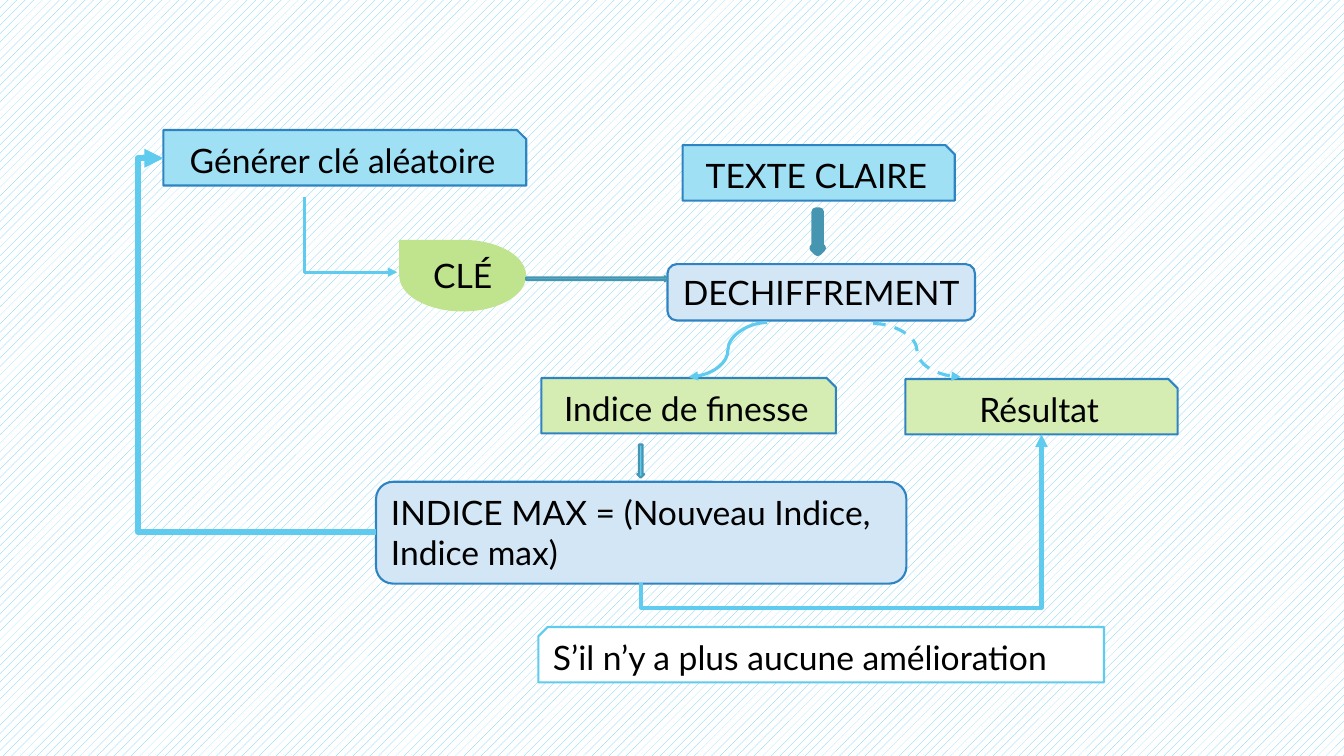
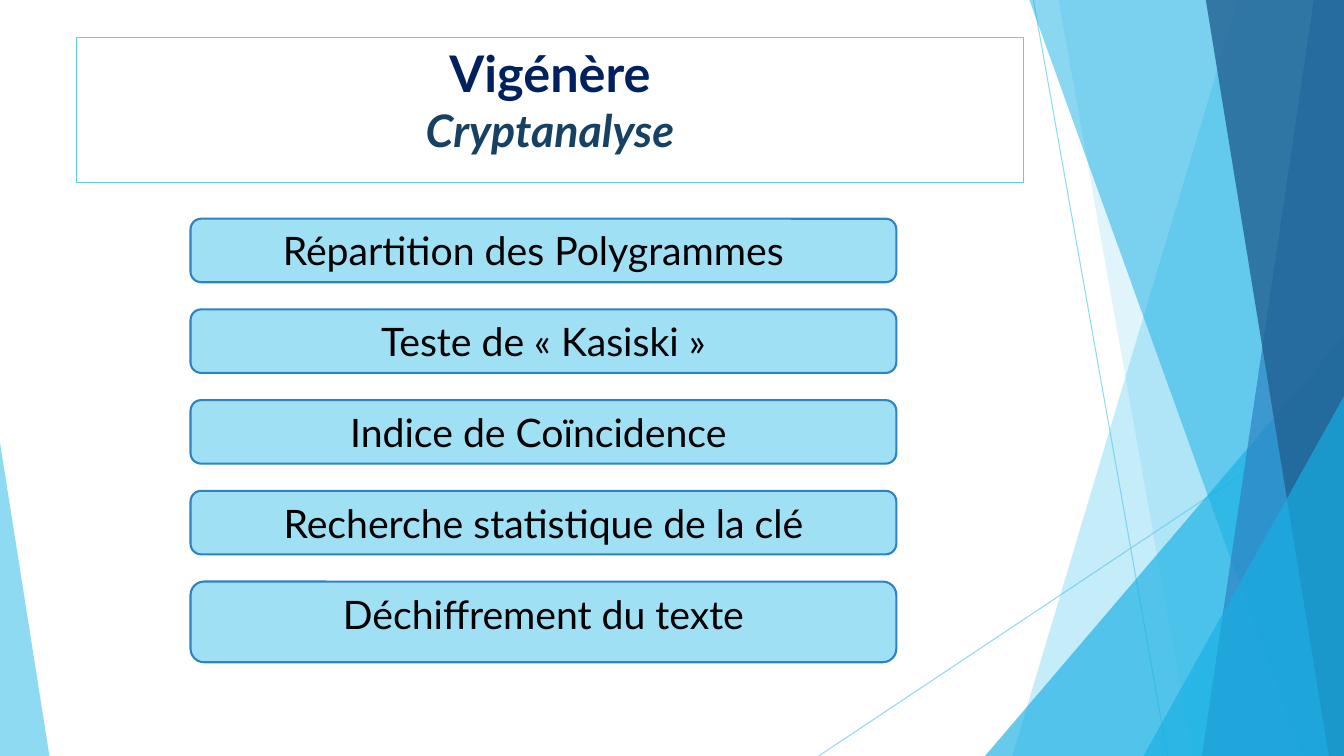
from lxml.etree import SubElement
from pptx import Presentation
from pptx.dml.color import RGBColor
from pptx.enum.dml import MSO_LINE, MSO_PATTERN
from pptx.enum.shapes import MSO_CONNECTOR, MSO_SHAPE
from pptx.enum.text import MSO_ANCHOR, PP_ALIGN
from pptx.oxml.ns import qn
from pptx.util import Inches, Pt

WIDTH, HEIGHT = 13.33, 7.5
COLORS = {
    "white": "FFFFFF", "black": "000000", "sky": "5FCBEF", "pale_sky": "9FE0F5",
    "cyan": "17B0E4", "blue": "2E83C3", "pale_blue": "D3E6F5", "deep_blue": "226292",
    "steel": "4696B1", "green": "C0E38D", "pale_green": "D5EDB3",
    "navy": "002060", "title_blue": "174162",
}


def rgb(name):
    return RGBColor.from_string(COLORS[name])


def set_opacity(element, percent):
    """Make every colour below the element partly transparent."""
    for color in element.iter(qn("a:srgbClr")):
        SubElement(color, qn("a:alpha"), val=str(percent * 1000))


class Deck:
    font = "Lato"

    def __init__(self):
        self.presentation = Presentation()
        self.presentation.slide_width = Inches(WIDTH)
        self.presentation.slide_height = Inches(HEIGHT)
        self.slide = None

    def new_slide(self):
        self.slide = self.presentation.slides.add_slide(self.presentation.slide_layouts[6])
        return self.slide

    def paint(self, shape, fill=None, line=None, line_width=1.5, opacity=100):
        shape.shadow.inherit = False
        if fill:
            shape.fill.solid()
            shape.fill.fore_color.rgb = rgb(fill)
        else:
            shape.fill.background()
        if line:
            shape.line.color.rgb = rgb(line)
            shape.line.width = Pt(line_width)
        else:
            shape.line.fill.background()
        if opacity < 100:
            set_opacity(shape._element.spPr, opacity)

    def shape(self, kind, box, fill=None, flip=False, adjust=None, **style):
        shape = self.slide.shapes.add_shape(kind, *map(Inches, box))
        if adjust is not None:
            shape.adjustments[0] = adjust
        if flip:
            shape._element.spPr.xfrm.set("flipH", "1")
        self.paint(shape, fill, **style)
        return shape

    def add_text(self, shape, lines, align=PP_ALIGN.CENTER, right_inset=0.1):
        """Fill a shape with lines given as (text, size, colour, bold, italic)."""
        frame = shape.text_frame
        frame.word_wrap = True
        frame.vertical_anchor = MSO_ANCHOR.TOP
        frame.margin_right = Inches(right_inset)
        for index, (text, size, color, bold, italic) in enumerate(lines):
            paragraph = frame.add_paragraph() if index else frame.paragraphs[0]
            paragraph.alignment = align
            run = paragraph.add_run()
            run.text = text
            run.font.name = self.font
            run.font.size = Pt(size)
            run.font.color.rgb = rgb(color)
            run.font.bold = bold
            run.font.italic = italic

    def label(self, kind, box, text, fill, line="blue", size=24, align=PP_ALIGN.CENTER,
              right_inset=0.1, flip=False):
        shape = self.shape(kind, box, fill, line=line, flip=flip)
        self.add_text(shape, [(text, size, "black", False, False)], align, right_inset)

    def connector(self, kind, start, end, width=2.25, bend=None, upright=False,
                  dashed=False, arrow=True, opacity=100):
        """Draw a connector; upright ones leave and arrive vertically."""
        if upright:
            middle_x, middle_y = (start[0] + end[0]) / 2, (start[1] + end[1]) / 2
            half_width, half_height = (start[1] - end[1]) / 2, (end[0] - start[0]) / 2
            start = middle_x + half_width, middle_y + half_height
            end = middle_x - half_width, middle_y - half_height
        connector = self.slide.shapes.add_connector(kind, *map(Inches, (*start, *end)))
        properties = connector._element.spPr
        if upright:
            properties.xfrm.set("rot", str(90 * 60000))
        if bend is not None:
            guides = properties.prstGeom.get_or_add_avLst()
            SubElement(guides, qn("a:gd"), name="adj1", fmla=f"val {round(bend * 100000)}")
        connector.line.color.rgb = rgb("sky")
        connector.line.width = Pt(width)
        if dashed:
            connector.line.dash_style = MSO_LINE.DASH
        if arrow:
            SubElement(properties.find(qn("a:ln")), qn("a:tailEnd"), type="triangle")
        if opacity < 100:
            set_opacity(properties, opacity)
        SubElement(properties, qn("a:effectLst"))

    def band(self, top_x, bottom_x, fill, opacity):
        """Fill the area between a slanted edge and the right side of the slide."""
        points = [(Inches(x), Inches(y)) for x, y in
                  ((top_x, 0), (WIDTH, 0), (WIDTH, HEIGHT), (bottom_x, HEIGHT))]
        builder = self.slide.shapes.build_freeform(*points[0])
        builder.add_line_segments(points[1:], close=True)
        self.paint(builder.convert_to_shape(), fill, opacity=opacity)

    def corner(self, left, top, width, fill, opacity, peak):
        """Stand a triangle on the bottom edge, its peak at 0 (left) or 1 (right)."""
        self.shape(MSO_SHAPE.ISOSCELES_TRIANGLE, (left, top, width, HEIGHT - top), fill,
                   adjust=peak, opacity=opacity)

    def facets(self):
        for start, end in (((10.25, 0), (11.58, HEIGHT)), ((WIDTH, 4.03), (8.12, HEIGHT))):
            self.connector(MSO_CONNECTOR.STRAIGHT, start, end, 0.75, arrow=False, opacity=70)
        self.band(12.28, 10.04, "sky", 36)
        self.band(10.5, 11.83, "sky", 20)
        self.corner(9.77, 3.33, 3.56, "cyan", 66, peak=1)
        self.band(10.21, 12.91, "cyan", 50)
        self.band(13.03, 11.92, "blue", 70)
        self.band(11.96, 13.18, "deep_blue", 80)
        self.corner(11.34, 3.93, 1.99, "cyan", 66, peak=1)
        self.corner(0, 4.39, 0.49, "sky", 70, peak=0)


def build_flow_chart(deck):
    background = deck.new_slide().background.fill
    background.patterned()
    background.pattern = MSO_PATTERN.PERCENT_20
    background.fore_color.rgb = rgb("sky")
    background.back_color.rgb = rgb("white")

    snipped, rounded = MSO_SHAPE.SNIP_1_RECTANGLE, MSO_SHAPE.ROUNDED_RECTANGLE
    for left, top, width, text, fill in (
        (6.77, 1.44, 2.7, "TEXTE CLAIRE", "pale_sky"),
        (1.62, 1.29, 3.6, "Générer clé aléatoire", "pale_sky"),
        (5.37, 3.75, 2.92, "Indice de finesse", "pale_green"),
        (8.98, 3.76, 2.7, "Résultat", "pale_green"),
    ):
        deck.label(snipped, (left, top, width, 0.55), text, fill)
    deck.label(rounded, (6.62, 2.62, 3.05, 0.56), "DECHIFFREMENT", "pale_blue")
    deck.label(MSO_SHAPE.TEAR, (3.96, 2.38, 1.26, 0.71), "CLÉ", "green", line=None, flip=True)
    deck.label(rounded, (3.73, 4.78, 5.26, 1.01), "INDICE MAX = (Nouveau Indice, Indice max)",
               "pale_blue", align=PP_ALIGN.LEFT)

    for kind, box, outline in (
        (MSO_SHAPE.RIGHT_ARROW, (5.22, 2.74, 1.4, 0.05), 1.5),
        (MSO_SHAPE.DOWN_ARROW, (8.07, 2.1, 0.08, 0.4), 6),
        (MSO_SHAPE.DOWN_ARROW, (6.32, 4.41, 0.07, 0.33), 1.5),
    ):
        deck.shape(kind, box, "sky", line="steel", line_width=outline)

    elbow, curve = MSO_CONNECTOR.ELBOW, MSO_CONNECTOR.CURVE
    deck.connector(elbow, (3.02, 1.95), (3.94, 2.7), bend=0)
    deck.connector(curve, (7.61, 3.2), (6.83, 3.74))
    deck.connector(curve, (8.66, 3.21), (9.53, 3.74), dashed=True)
    deck.connector(elbow, (3.73, 5.28), (1.62, 1.57), 4.5, bend=1.12)
    deck.connector(elbow, (6.36, 5.78), (10.33, 4.31), 3, bend=-0.17, upright=True)

    deck.label(snipped, (5.34, 6.22, 5.61, 0.55), "S’il n’y a plus aucune amélioration",
               "white", line="sky", align=PP_ALIGN.LEFT, flip=True)


def build_cryptanalysis_steps(deck):
    deck.new_slide()
    deck.facets()
    steps = (
        ("Répartition des Polygrammes", 0.63, 0.3),
        ("Teste de « Kasiski »", 0.63, 0.1),
        ("Indice de Coïncidence", 0.63, 0.2),
        ("Recherche statistique de la clé", 0.63, 0.1),
        ("Déchiffrement du texte", 0.8, 0.1),
    )
    for index, (text, height, right_inset) in enumerate(steps):
        deck.label(MSO_SHAPE.FLOWCHART_ALTERNATE_PROCESS, (1.89, 2.17 + index * 0.9, 7, height),
                   text, "pale_sky", size=28, right_inset=right_inset)
    title = deck.shape(MSO_SHAPE.RECTANGLE, (0.76, 0.37, 9.39, 1.44), line="sky", line_width=0.75)
    deck.add_text(title, [("Vigénère", 36, "navy", True, False),
                          ("Cryptanalyse", 32, "title_blue", True, True)])


def main():
    deck = Deck()
    build_flow_chart(deck)
    build_cryptanalysis_steps(deck)
    deck.presentation.save("out.pptx")


if __name__ == "__main__":
    main()
